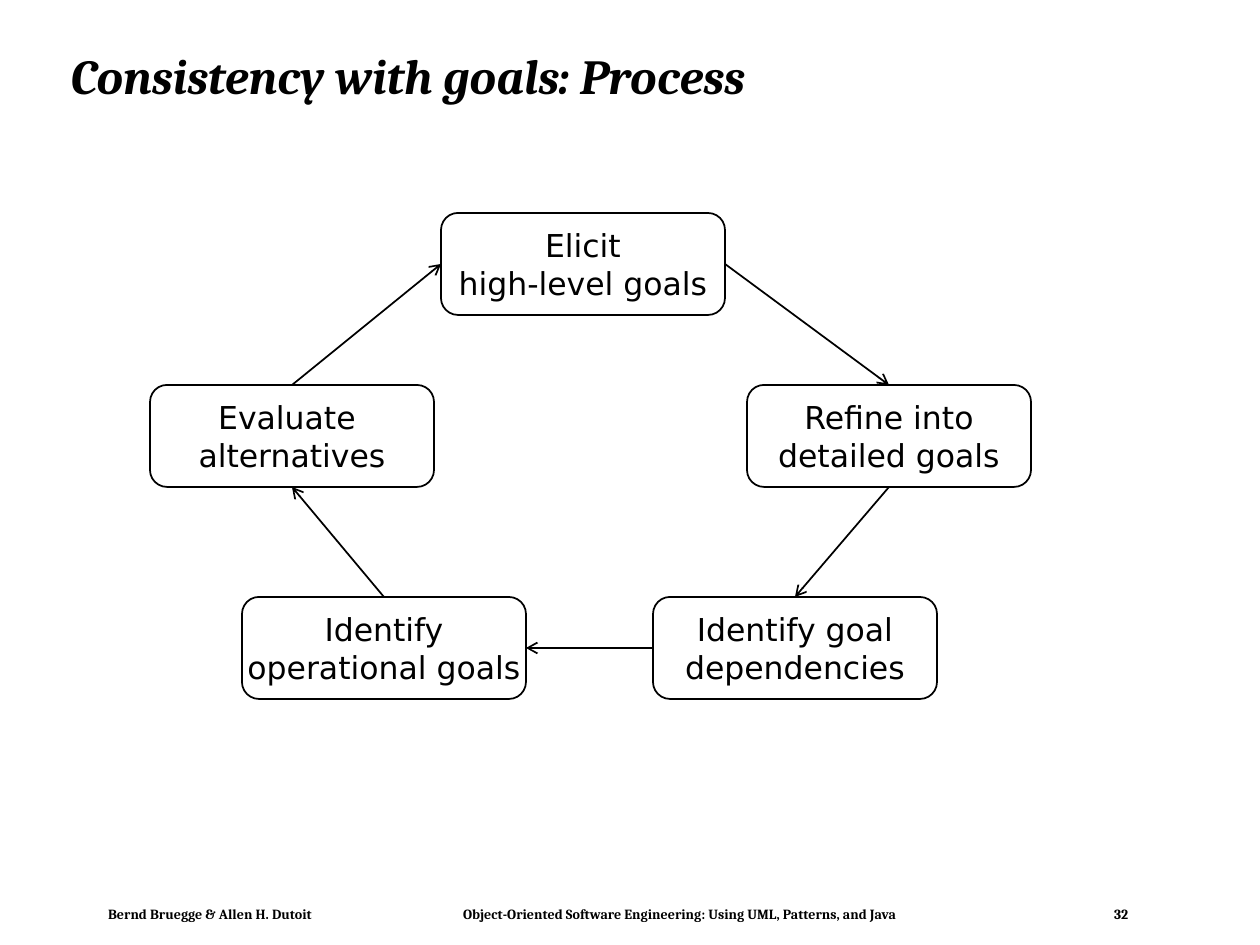
from dataclasses import dataclass

from lxml import etree
from pptx import Presentation
from pptx import util as u
from pptx.dml.color import RGBColor
from pptx.enum import shapes, text
from pptx.oxml.ns import qn

EMU_PER_PX = 914400 / 126
TOP, LEFT, BOTTOM, RIGHT = range(4)
BOX_SIZE = (284, 102)

STEPS = [
    ("Elicit\nhigh-level goals", 441, 213),
    ("Refine into\ndetailed goals", 747, 385),
    ("Identify goal\ndependencies", 653, 597),
    ("Identify\noperational goals", 242, 597),
    ("Evaluate \nalternatives", 150, 385),
]
ARROW_SIDES = [(RIGHT, TOP), (BOTTOM, TOP), (LEFT, RIGHT), (TOP, BOTTOM), (TOP, LEFT)]
FOOTER = "\t".join([
    "Bernd Bruegge & Allen H. Dutoit",
    "Object-Oriented Software Engineering: Using UML, Patterns, and Java",
    "32",
])
FOOTER_TABS = (355, 1006)


@dataclass(frozen=True)
class Theme:
    ink: RGBColor = RGBColor(0, 0, 0)
    paper: RGBColor = RGBColor(255, 255, 255)
    heading_font: str = "Cambria"
    step_font: str = "DejaVu Sans"
    title_size: int = 28
    step_size: int = 18
    footer_size: int = 8
    line_width: int = 1


THEME = Theme()


def px(*lengths):
    return [u.Emu(round(length * EMU_PER_PX)) for length in lengths]


def style(paragraph, name, size, alignment, bold=False, italic=False):
    paragraph.alignment = alignment
    font = paragraph.font
    font.name, font.size = name, u.Pt(size)
    font.bold, font.italic = bold, italic
    font.color.rgb = THEME.ink


def style_line(line):
    line.color.rgb = THEME.ink
    line.width = u.Pt(THEME.line_width)


def set_title(slide, title):
    shape = slide.shapes.title
    shape.left, shape.top, shape.width, shape.height = px(58, 30, 1124, 97)
    frame = shape.text_frame
    frame.text = title
    frame.vertical_anchor = text.MSO_ANCHOR.MIDDLE
    paragraph = frame.paragraphs[0]
    paragraph.line_spacing = 0.9
    style(paragraph, THEME.heading_font, THEME.title_size, text.PP_ALIGN.LEFT, True, True)


def add_footer(slide):
    frame = slide.shapes.add_textbox(*px(98, 901, 1042, 26)).text_frame
    frame.word_wrap = True
    frame.margin_left, frame.margin_right = px(10, 10)
    frame.margin_top, frame.margin_bottom = px(5, 5)
    paragraph = frame.paragraphs[0]
    paragraph.text = FOOTER
    paragraph.alignment = text.PP_ALIGN.LEFT
    tabs = etree.SubElement(paragraph._p.get_or_add_pPr(), qn("a:tabLst"))
    for position in px(*FOOTER_TABS):
        etree.SubElement(tabs, qn("a:tab"), pos=str(position), algn="l")
    style(paragraph, THEME.heading_font, THEME.footer_size, text.PP_ALIGN.LEFT, True)


def add_step(slide, label, left, top):
    shape = slide.shapes.add_shape(
        shapes.MSO_SHAPE.ROUNDED_RECTANGLE, *px(left, top, *BOX_SIZE))
    shape.shadow.inherit = False
    shape.fill.solid()
    shape.fill.fore_color.rgb = THEME.paper
    style_line(shape.line)
    frame = shape.text_frame
    frame.text = label
    frame.word_wrap = False
    frame.vertical_anchor = text.MSO_ANCHOR.MIDDLE
    for paragraph in frame.paragraphs:
        style(paragraph, THEME.step_font, THEME.step_size, text.PP_ALIGN.CENTER)
    return shape


def add_arrow(slide, source, source_side, target, target_side):
    connector = slide.shapes.add_connector(shapes.MSO_CONNECTOR.STRAIGHT, 0, 0, 0, 0)
    connector.begin_connect(source, source_side)
    connector.end_connect(target, target_side)
    style_line(connector.line)
    etree.SubElement(connector.line._get_or_add_ln(), qn("a:tailEnd"), type="arrow")
    etree.SubElement(connector._element.spPr, qn("a:effectLst"))


def main():
    presentation = Presentation()
    presentation.slide_width, presentation.slide_height = px(1260, 945)
    slide = presentation.slides.add_slide(presentation.slide_layouts[5])
    add_footer(slide)
    set_title(slide, "Consistency with goals: Process")
    steps = [add_step(slide, *step) for step in STEPS]
    for source, target, sides in zip(steps, steps[1:] + steps[:1], ARROW_SIDES):
        add_arrow(slide, source, sides[0], target, sides[1])
    presentation.save("out.pptx")


if __name__ == "__main__":
    main()
